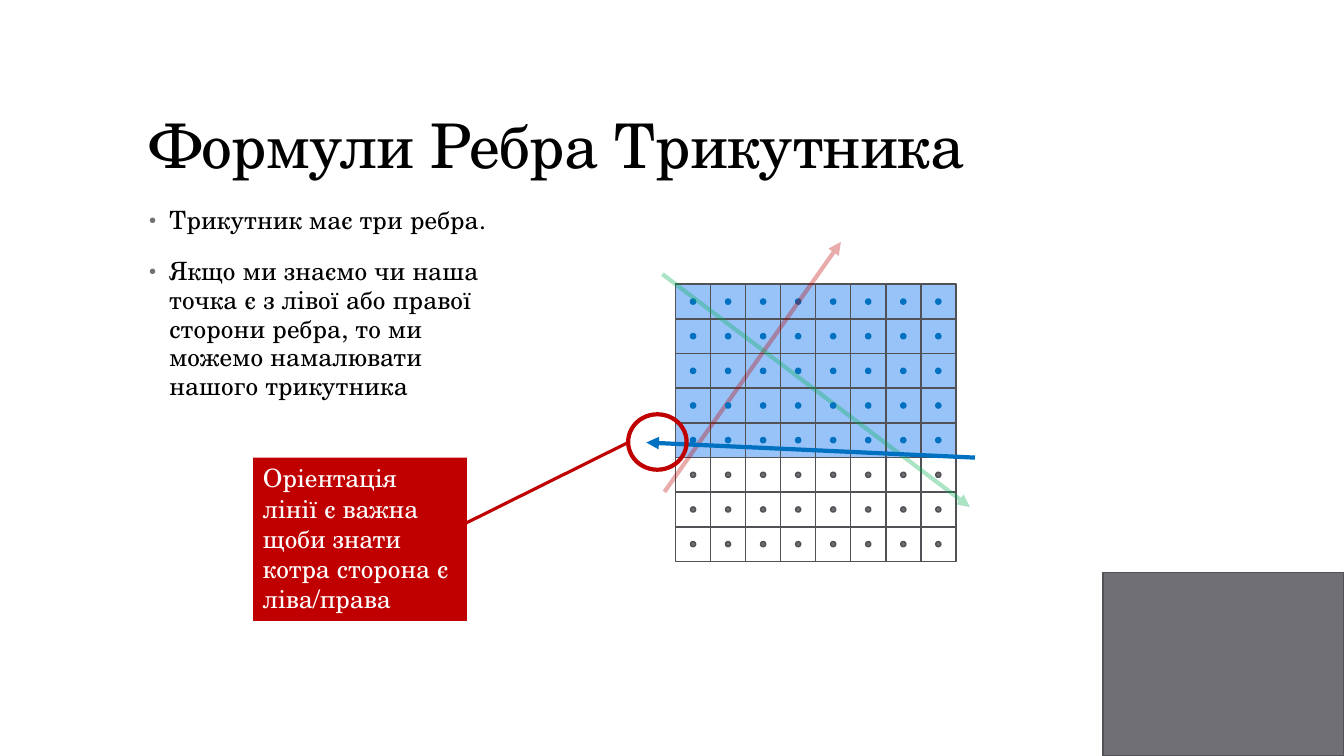
"""Build the slide on triangle edge formulas."""
from lxml import etree
from pptx import Presentation
from pptx.dml.color import RGBColor
from pptx.enum.shapes import MSO_CONNECTOR, MSO_SHAPE
from pptx.enum.text import MSO_ANCHOR, MSO_AUTO_SIZE, PP_ALIGN
from pptx.oxml.ns import qn
from pptx.util import Inches, Pt

RECT, OVAL = MSO_SHAPE.RECTANGLE, MSO_SHAPE.OVAL
STRAIGHT = MSO_CONNECTOR.STRAIGHT
LEFT = PP_ALIGN.LEFT
TOP, BOTTOM = MSO_ANCHOR.TOP, MSO_ANCHOR.BOTTOM
FIXED, GROW = MSO_AUTO_SIZE.NONE, MSO_AUTO_SIZE.SHAPE_TO_FIT_TEXT

FONT = "TeX Gyre Schola"
BLACK, WHITE, GRAY, DARK = "000000", "FFFFFF", "6F6F74", "525256"
RED, GREEN, BLUE, PALE = "C00000", "00B050", "0070C0", "97C3F9"

TITLE = ["Формули Ребра Трикутника"]
POINTS = [
    "Трикутник має три ребра.",
    "Якщо ми знаємо чи наша точка є з лівої або правої сторони ребра, "
    "то ми можемо намалювати нашого трикутника",
]
CALLOUT = ["Оріентація лінії є важна щоби знати котра сторона є ліва/права"]

GRID_LEFT, GRID_TOP, GRID_W, GRID_H = 6.7, 2.82, 2.78, 2.75
COUNT, INSIDE_ROWS, FRONT_ROW = 8, 5, 3
DOT = 0.05
EDGES = [
    ((6.59, 4.88), (8.34, 2.4), RED, 33),
    ((6.57, 2.72), (9.62, 5.03), GREEN, 33),
    ((9.67, 4.54), (6.41, 4.39), BLUE, 100),
]


def rgb(value):
    return RGBColor.from_string(value)


def child(parent, tag, **attrs):
    return etree.SubElement(parent, qn(tag), attrs)


def place(sp, box):
    for name, value in zip(("left", "top", "width", "height"), box):
        setattr(sp, name, Inches(value))


def add_shape(shapes, kind, box, fill=None, line=None, width=1.1):
    sp = shapes.add_shape(kind, *map(Inches, box))
    sp.shadow.inherit = False
    if fill:
        sp.fill.solid()
        sp.fill.fore_color.rgb = rgb(fill)
    else:
        sp.fill.background()
    if line:
        sp.line.color.rgb = rgb(line)
        sp.line.width = Pt(width)
    else:
        sp.line.fill.background()
    return sp


def add_line(shapes, start, end, color, width, alpha=100, arrow=False):
    cx = shapes.add_connector(STRAIGHT, *map(Inches, start + end))
    cx.line.color.rgb = rgb(color)
    cx.line.width = Pt(width)
    ln = cx.line._get_or_add_ln()
    if alpha < 100:
        child(ln.find(".//" + qn("a:srgbClr")), "a:alpha", val=str(alpha * 1000))
    if arrow:
        child(ln, "a:tailEnd", type="triangle")
    child(cx._element.spPr, "a:effectLst")


def add_bullet(p):
    pPr = p._p.get_or_add_pPr()
    pPr.set("marL", str(Inches(0.2)))
    pPr.set("indent", str(-Inches(0.2)))
    child(child(pPr, "a:buClr"), "a:srgbClr", val=GRAY)
    child(pPr, "a:buSzPct", val="80000")
    child(pPr, "a:buFont", typeface="Arial")
    child(pPr, "a:buChar", char="•")


def write(sp, lines, size, color, frame, para, spacing=0, bullets=False):
    tf = sp.text_frame
    for name, value in frame.items():
        setattr(tf, name, value)
    for i, line in enumerate(lines):
        p = tf.paragraphs[0] if i == 0 else tf.add_paragraph()
        for name, value in para.items():
            setattr(p, name, value)
        p.space_before = Pt(14 if i else 0)
        if bullets:
            add_bullet(p)
        r = p.add_run()
        r.text = line
        font = {"name": FONT, "size": Pt(size), "bold": False}
        for name, value in font.items():
            setattr(r.font, name, value)
        r.font.color.rgb = rgb(color)
        if spacing:
            r._r.get_or_add_rPr().set("spc", str(spacing))


def add_dot(shapes, row, col):
    x = GRID_LEFT + (col + 0.5) * GRID_W / COUNT - DOT / 2
    y = GRID_TOP + (row + 0.5) * GRID_H / COUNT - DOT / 2
    fill, line = (BLUE, BLUE) if row < INSIDE_ROWS else (GRAY, DARK)
    add_shape(shapes, OVAL, (x, y, DOT, DOT), fill, line)


def add_grid(shapes):
    w, h = GRID_W / COUNT, GRID_H / COUNT
    for row in range(COUNT):
        fill = PALE if row < INSIDE_ROWS else None
        for col in range(COUNT):
            box = (GRID_LEFT + col * w, GRID_TOP + row * h, w, h)
            add_shape(shapes, RECT, box, fill, DARK)
            if row != FRONT_ROW:
                add_dot(shapes, row, col)


def main():
    prs = Presentation()
    prs.slide_width, prs.slide_height = Inches(13.33), Inches(7.5)
    s = prs.slides.add_slide(prs.slide_layouts[1])
    shapes = s.shapes

    title, body = shapes.title, s.placeholders[1]
    place(title, (1.38, 0.4, 10.6, 1.45))
    place(body, (1.38, 2, 3.72, 4.76))
    frame = {"word_wrap": True, "auto_size": FIXED, "vertical_anchor": TOP}
    write(title, TITLE, 44, BLACK, {**frame, "vertical_anchor": BOTTOM},
          {"alignment": LEFT, "line_spacing": 0.9}, -50)
    write(body, POINTS, 18, BLACK, frame,
          {"alignment": LEFT, "line_spacing": 0.95, "space_after": Pt(2)},
          10, True)

    add_shape(shapes, RECT, (10.94, 5.68, 2.39, 1.82), GRAY, DARK)
    add_grid(shapes)
    for start, end, color, alpha in EDGES:
        add_line(shapes, start, end, color, 3, alpha, True)
    for col in range(COUNT):
        add_dot(shapes, FRONT_ROW, col)

    add_shape(shapes, OVAL, (6.23, 4.11, 0.58, 0.55), None, RED, 3)
    add_line(shapes, (6.23, 4.39), (4.5, 5.25), RED, 2.25)
    callout = add_shape(shapes, RECT, (2.51, 4.54, 2.12, 1.62), RED)
    write(callout, CALLOUT, 18, WHITE, {**frame, "auto_size": GROW},
          {"alignment": LEFT})

    prs.save("out.pptx")


if __name__ == "__main__":
    main()
